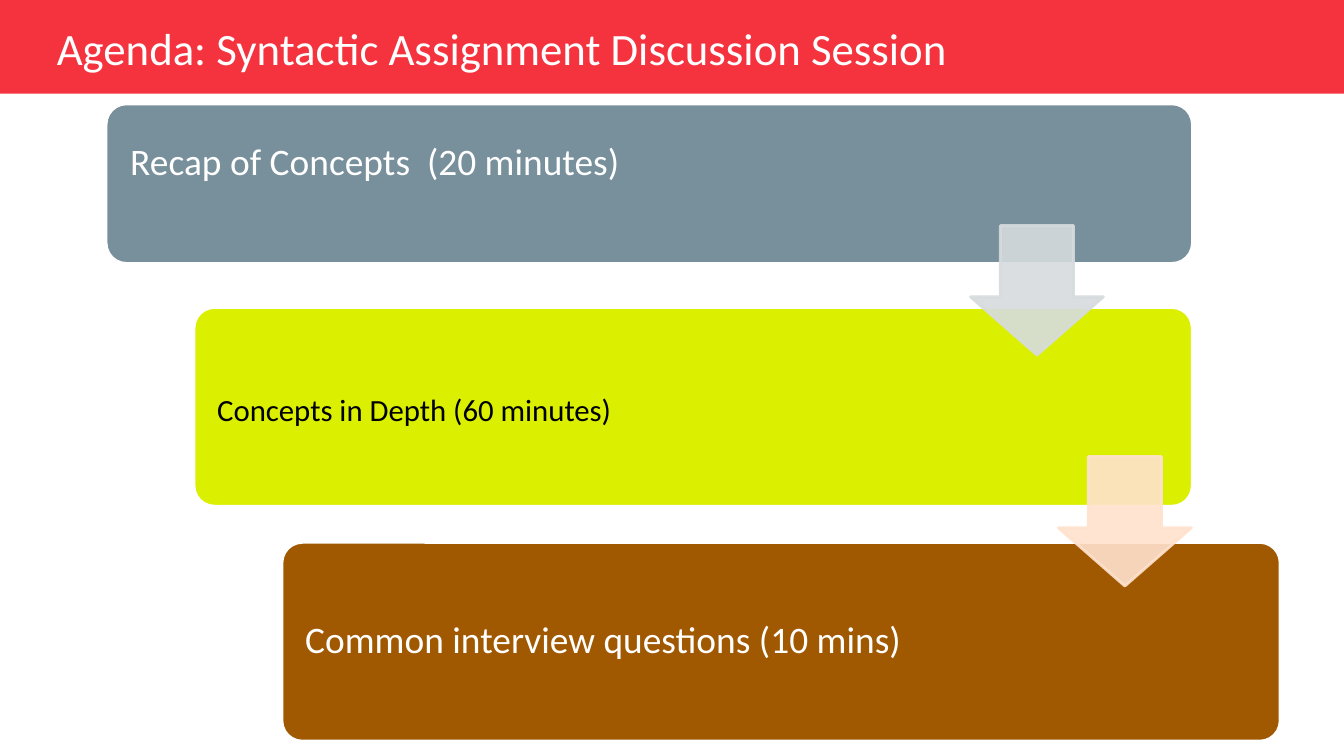
from dataclasses import dataclass

from lxml.etree import SubElement
from pptx import Presentation
from pptx.dml.color import RGBColor
from pptx.enum.shapes import MSO_SHAPE
from pptx.enum.text import MSO_ANCHOR, MSO_AUTO_SIZE, PP_ALIGN
from pptx.oxml.ns import qn
from pptx.util import Pt


@dataclass(frozen=True)
class Theme:
    font: str = "Calibri"
    white: str = "FFFFFF"
    black: str = "000000"
    red: str = "F5333F"
    slate: str = "78909C"
    lime: str = "DBF000"
    brown: str = "A05900"
    pale_slate: str = "D6DBDE"
    pale_orange: str = "FFE2CE"
    title_size: float = 32
    step_size: float = 26.7
    small_step_size: float = 22


theme = Theme()


def add_filled(kind, left, top, width, height, fill, outline=None):
    shape = page.shapes.add_shape(kind, Pt(left), Pt(top), Pt(width), Pt(height))
    shape.shadow.inherit = False
    shape.fill.solid()
    shape.fill.fore_color.rgb = RGBColor.from_string(fill)
    if outline:
        shape.line.color.rgb = RGBColor.from_string(outline)
        shape.line.width = Pt(2)
    else:
        shape.line.fill.background()
    return shape


def write(shape, text, size, color, insets, spacing=0.9):
    frame = shape.text_frame
    frame.word_wrap = True
    frame.auto_size = MSO_AUTO_SIZE.NONE
    frame.vertical_anchor = MSO_ANCHOR.MIDDLE
    frame.margin_left, frame.margin_top, frame.margin_right, frame.margin_bottom = map(Pt, insets)
    para = frame.paragraphs[0]
    para.alignment = PP_ALIGN.LEFT
    para.line_spacing = spacing
    span = para.add_run()
    span.text = text
    span.font.name = theme.font
    span.font.size = Pt(size)
    span.font.color.rgb = RGBColor.from_string(color)


deck = Presentation()
deck.slide_width, deck.slide_height = Pt(960), Pt(540)
page = deck.slides.add_slide(deck.slide_layouts[5])

# Title on a red band, with the band at the back
band = add_filled(MSO_SHAPE.RECTANGLE, 0, 0, 960, 67, theme.red)
page.shapes.element.insert(2, band.element)
title = page.shapes.title
title.left, title.top, title.width, title.height = Pt(33.4), Pt(13), Pt(832), Pt(46.8)
write(title, "Agenda: Syntactic Assignment Discussion Session",
      theme.title_size, theme.white, (7.2, 3.6, 7.2, 3.6))

# Agenda steps, each starting further right; the first holds its text higher
step_left, step_indent, corner_radius = 75.8, 62.8, 14.6
steps = [
    ("Recap of Concepts  (20 minutes)", 74.2, 776, 114, theme.slate,
     dict(size=theme.step_size, color=theme.white, insets=(13, 13, 143, 42))),
    ("Concepts in Depth (60 minutes)", 219.6, 713, 142, theme.lime,
     dict(size=theme.small_step_size, color=theme.black, insets=(12.3, 12.3, 150, 12.3), spacing=1.15)),
    ("Common interview questions (10 mins)", 387.4, 713, 142, theme.brown,
     dict(size=theme.step_size, color=theme.white, insets=(12.3, 12.3, 150, 12.3))),
]
for index, (text, top, width, height, fill, text_format) in enumerate(steps):
    box = add_filled(MSO_SHAPE.ROUNDED_RECTANGLE, step_left + index * step_indent, top,
                     width, height, fill, theme.white)
    box.adjustments[0] = corner_radius / height
    write(box, text, **text_format)

# Translucent arrows from each step to the next
arrows = [(161.2, theme.pale_slate), (326.2, theme.pale_orange)]
for index, (top, color) in enumerate(arrows):
    arrow = add_filled(MSO_SHAPE.DOWN_ARROW, 693.2 + index * step_indent, top, 95, 92.4, color, color)
    arrow.adjustments[0] = 0.55
    arrow.adjustments[1] = 0.45
    for tint in arrow.element.spPr.iter(qn("a:srgbClr")):
        SubElement(tint, qn("a:alpha"), val="90000")

deck.save("out.pptx")
